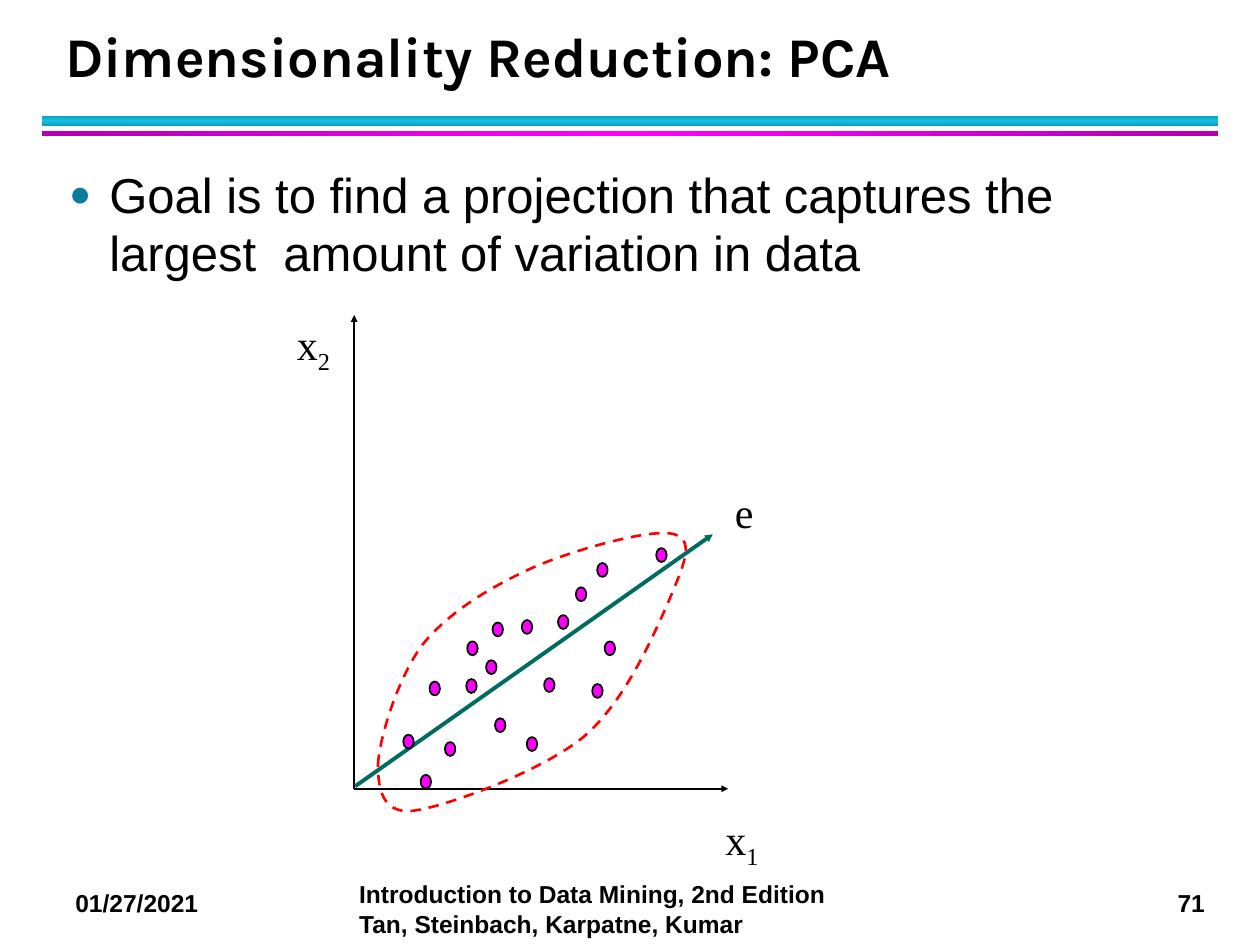
from copy import deepcopy

from lxml import etree
from pptx import Presentation
from pptx.dml.color import RGBColor
from pptx.enum.dml import MSO_LINE
from pptx.enum.shapes import MSO_CONNECTOR, MSO_SHAPE
from pptx.enum.text import MSO_ANCHOR, PP_ALIGN
from pptx.oxml.ns import qn
from pptx.util import Cm, Pt

RECTANGLE, OVAL = MSO_SHAPE.RECTANGLE, MSO_SHAPE.OVAL
STRAIGHT, DASH = MSO_CONNECTOR.STRAIGHT, MSO_LINE.DASH
TOP, MIDDLE, BOTTOM = MSO_ANCHOR.TOP, MSO_ANCHOR.MIDDLE, MSO_ANCHOR.BOTTOM
LEFT, CENTER = PP_ALIGN.LEFT, PP_ALIGN.CENTER

COLORS = {
    "text": "000000",
    "cyan": "12C2E9",
    "cyan edge": "0E9BBA",
    "magenta": "FF00FF",
    "magenta edge": "B200B2",
    "bullet": "0C7B9C",
    "eigenvector": "006B61",
    "outline": "FF0000",
}


def color(name):
    return RGBColor.from_string(COLORS[name])


def set_font(font, family, size, bold=False):
    font.name, font.size, font.bold = family, Pt(size), bold
    font.color.rgb = color("text")


prs = Presentation()
prs.slide_width, prs.slide_height = Cm(25.4), Cm(19.05)
slide = prs.slides.add_slide(prs.slide_layouts[1])
shapes = slide.shapes

# Header bars, darker at both edges
for top, height, middle, angle in [(2.33, 0.21, "cyan", 90), (2.64, 0.1, "magenta", 0)]:
    bar = shapes.add_shape(RECTANGLE, Cm(0.85), Cm(top), Cm(23.71), Cm(height))
    bar.shadow.inherit = False
    bar.line.fill.background()
    bar.fill.gradient()
    bar.fill.gradient_angle = angle
    stop_list = bar._element.spPr.find(".//" + qn("a:gsLst"))
    stop_list.insert(1, deepcopy(stop_list[0]))
    edge = middle + " edge"
    for stop, position, shade in zip(bar.fill.gradient_stops, (0, 0.5, 1), (edge, middle, edge)):
        stop.position = position
        stop.color.rgb = color(shade)

# Footer
for left, top, width, wrap, wording in [
    (1.27, 17.78, 3.39, True, "01/27/2021"),
    (23.49, 17.78, 1.12, False, "71"),
    (6.99, 17.6, 10.36, True,
     "Introduction to Data Mining, 2nd Edition Tan, Steinbach, Karpatne, Kumar"),
]:
    footer = shapes.add_textbox(Cm(left), Cm(top), Cm(width), Cm(0.86)).text_frame
    footer.word_wrap = wrap
    footer.text = wording
    set_font(footer.paragraphs[0].runs[0].font, "Arial", 14, bold=True)

# Title and goal
title = shapes.title
title.left, title.top, title.width, title.height = Cm(1.06), Cm(0.44), Cm(23.01), Cm(1.48)
title.text_frame.text = "Dimensionality Reduction: PCA"
title.text_frame.vertical_anchor = BOTTOM
heading = title.text_frame.paragraphs[0]
heading.alignment = LEFT
heading.line_spacing = Pt(36)
set_font(heading.runs[0].font, "Karla", 32, bold=True)

body = slide.placeholders[1]
body.left, body.top, body.width, body.height = Cm(1.14), Cm(3.18), Cm(23.11), Cm(14.4)
body.text_frame.text = "Goal is to find a projection that captures the largest  amount of variation in data"
body.text_frame.vertical_anchor = TOP
goal = body.text_frame.paragraphs[0]
goal_format = goal._p.get_or_add_pPr()
goal_format.set("marL", str(Cm(0.81)))
goal_format.set("indent", str(-Cm(0.81)))
bullet_color = etree.SubElement(goal_format, qn("a:buClr"))
etree.SubElement(bullet_color, qn("a:srgbClr"), val=COLORS["bullet"])
etree.SubElement(goal_format, qn("a:buSzPct"), val="75000")
etree.SubElement(goal_format, qn("a:buChar"), char="●")
goal.space_before, goal.space_after = Pt(0), Pt(4)
goal.line_spacing = 1.0
set_font(goal.runs[0].font, "Arial", 28)

# Axes and principal direction
for x1, y1, x2, y2, shade, weight in [
    (7.14, 15.9, 7.14, 6.35, "text", 1),
    (7.14, 15.9, 14.68, 15.9, "text", 1),
    (7.16, 15.85, 14.37, 10.77, "eigenvector", 2.25),
]:
    arrow = shapes.add_connector(STRAIGHT, Cm(x1), Cm(y1), Cm(x2), Cm(y2))
    arrow.line.color.rgb = color(shade)
    arrow.line.width = Pt(weight)
    arrow_format = arrow._element.spPr
    etree.SubElement(arrow_format.find(qn("a:ln")), qn("a:tailEnd"),
                     type="triangle", w="sm", len="sm")
    etree.SubElement(arrow_format, qn("a:effectLst"))

# Data points
for left, top in [
    (8.66, 13.74), (9.42, 12.93), (8.13, 14.81), (9.8, 13.31), (9.4, 13.69), (10.97, 13.67),
    (10.62, 14.86), (9.98, 14.48), (10.52, 12.5), (12.19, 12.93), (13.23, 11.05), (8.97, 14.96),
    (11.25, 12.4), (12.04, 11.35), (9.93, 12.55), (11.61, 11.84), (11.94, 13.79), (8.48, 15.62),
]:
    point = shapes.add_shape(OVAL, Cm(left), Cm(top), Cm(0.21), Cm(0.28))
    point.shadow.inherit = False
    point.fill.solid()
    point.fill.fore_color.rgb = color("magenta")
    point.line.color.rgb = color("text")
    point.line.width = Pt(1)

# Dashed outline of the data: straight segments turned into cubic curves
start = (7.62, 15.42)
curves = [
    ((7.65, 14.86), (8.03, 13.64), (8.53, 12.98)),
    ((9.07, 12.32), (9.93, 11.81), (10.77, 11.43)),
    ((11.61, 11.07), (13.16, 10.64), (13.59, 10.77)),
    ((14.05, 10.9), (13.74, 11.48), (13.46, 12.17)),
    ((13.16, 12.83), (12.6, 14.15), (11.76, 14.86)),
    ((10.92, 15.54), (9.12, 16.21), (8.43, 16.33)),
    ((7.75, 16.46), (7.62, 15.98), start),
]
builder = shapes.build_freeform(Cm(start[0]), Cm(start[1]))
builder.add_line_segments([(Cm(x), Cm(y)) for *_, (x, y) in curves], close=True)
outline = builder.convert_to_shape()
outline.left, outline.top, outline.width, outline.height = Cm(7.62), Cm(10.64), Cm(6.43), Cm(5.82)
outline_path = outline._element.spPr.find(".//" + qn("a:path"))
outline_path.set("w", str(outline.width))
outline_path.set("h", str(outline.height))
for segment, knots in zip(list(outline_path), [(start,), *curves]):
    if len(knots) == 3:
        curve = etree.Element(qn("a:cubicBezTo"))
        outline_path.replace(segment, curve)
        segment = curve
    for knot in list(segment):
        segment.remove(knot)
    for x, y in knots:
        etree.SubElement(segment, qn("a:pt"),
                         x=str(Cm(x) - outline.left), y=str(Cm(y) - outline.top))
outline.shadow.inherit = False
outline.fill.background()
outline.line.color.rgb = color("outline")
outline.line.width = Pt(1.5)
outline.line.dash_style = DASH

# Axis and direction labels
for left, top, width, letter, subscript in [
    (5.71, 6.36, 1.22, "x", "2"),
    (14.35, 16.34, 1.22, "x", "1"),
    (14.56, 9.68, 0.89, "e", ""),
]:
    label = shapes.add_textbox(Cm(left), Cm(top), Cm(width), Cm(1.27)).text_frame
    label.word_wrap = False
    label.vertical_anchor = MIDDLE
    label.text = letter
    symbol = label.paragraphs[0]
    symbol.alignment = CENTER
    if subscript:
        index = symbol.add_run()
        index.text = subscript
        index.font._element.set("baseline", "-25000")
    for run in symbol.runs:
        set_font(run.font, "Times New Roman", 24)

prs.save("out.pptx")
